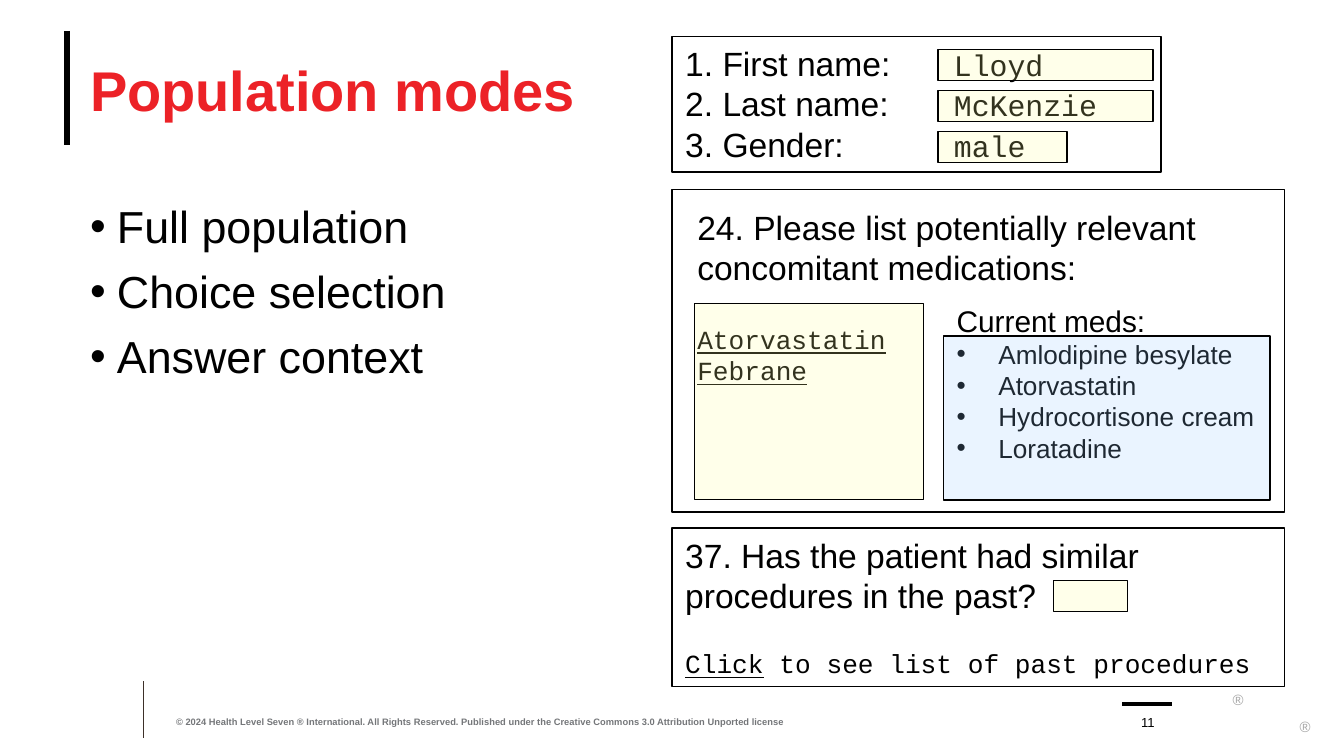
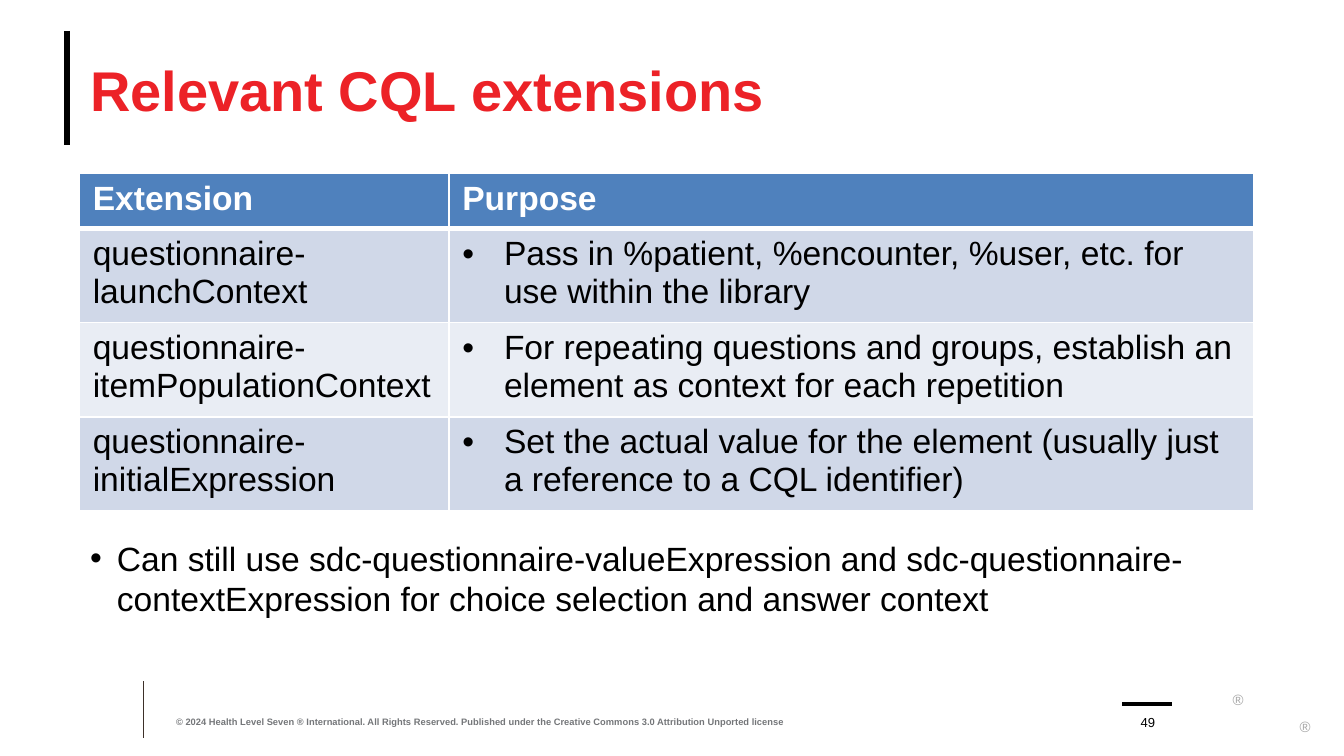
from dataclasses import dataclass
from typing import Optional

from lxml.etree import SubElement
from pptx import Presentation
from pptx.dml.color import RGBColor
from pptx.enum.shapes import MSO_CONNECTOR, MSO_SHAPE
from pptx.enum.text import MSO_ANCHOR, PP_ALIGN
from pptx.oxml import parse_xml
from pptx.oxml.ns import nsdecls, qn
from pptx.util import Inches, Pt


@dataclass(frozen=True)
class Theme:
    black: str = "000000"
    white: str = "FFFFFF"
    title: str = "EC2227"
    footer: str = "747679"
    mark: str = "A6A6A6"
    rule: str = "3D3029"
    answer: str = "FFFF99"
    choices: str = "99CCFF"
    header: str = "4F81BD"
    bands: tuple[str, str] = ("D0D8E8", "E9EDF4")
    sans: str = "Arial"
    mono: str = "Courier New"
    title_size: float = 30
    bullet_size: float = 24
    body_size: float = 18
    entry_size: float = 16
    small_size: float = 14
    mark_size: float = 8
    number_size: float = 7
    footer_size: float = 5
    tint: int = 20
    outline: float = 0.75


THEME = Theme()
COPYRIGHT = (
    "© 2024 Health Level Seven ® International. All Rights Reserved. "
    "Published under the Creative Commons 3.0 Attribution Unported license"
)


@dataclass(frozen=True)
class Run:
    text: str
    size: float = THEME.body_size
    color: str = THEME.black
    font: str = THEME.sans
    bold: bool = False
    underline: bool = False


@dataclass(frozen=True)
class Paragraph:
    runs: tuple[Run, ...]
    bullet_indent: float = 0
    tab_stop: float = 0
    space_before: float = 0
    align: PP_ALIGN = PP_ALIGN.LEFT


@dataclass(frozen=True)
class Box:
    left: float
    top: float
    width: float
    height: float
    paragraphs: tuple[Paragraph, ...] = ()
    fill: Optional[str] = None
    opacity: int = 100
    outlined: bool = False
    anchor: MSO_ANCHOR = MSO_ANCHOR.TOP
    inset: bool = True
    wrap: bool = True


@dataclass(frozen=True)
class Line:
    start: tuple[float, float]
    end: tuple[float, float]
    color: str
    width: float


MASTER_LINES = (
    Line((0.5, 0.23), (0.5, 1.08), THEME.black, 3.25),
    Line((1.07, 5.07), (1.07, 5.49), THEME.rule, 0.5),
    Line((8.35, 5.24), (8.72, 5.24), THEME.black, 2),
)


def plain(text: str, size: float = THEME.body_size, **style) -> Paragraph:
    return Paragraph((Run(text, size, **style),))


def bullets(texts: tuple[str, ...], size: float, indent: float, gap: float = 0
            ) -> tuple[Paragraph, ...]:
    return tuple(
        Paragraph((Run(text, size),), indent, space_before=gap if index else 0)
        for index, text in enumerate(texts)
    )


def write_paragraphs(text_frame, paragraphs: tuple[Paragraph, ...]) -> None:
    for index, content in enumerate(paragraphs):
        paragraph = text_frame.paragraphs[0] if index == 0 else text_frame.add_paragraph()
        properties = paragraph._p.get_or_add_pPr()
        if content.bullet_indent:
            properties.set("marL", str(Inches(content.bullet_indent)))
            properties.set("indent", str(-Inches(content.bullet_indent)))
            SubElement(properties, qn("a:buFont"), typeface=THEME.sans)
            SubElement(properties, qn("a:buChar"), char="•")
        if content.tab_stop:
            tabs = SubElement(properties, qn("a:tabLst"))
            SubElement(tabs, qn("a:tab"), pos=str(Inches(content.tab_stop)), algn="l")
        paragraph.alignment = content.align
        paragraph.space_before = Pt(content.space_before)
        for piece in content.runs:
            run = paragraph.add_run()
            run.text = piece.text
            run.font.name = piece.font
            run.font.size = Pt(piece.size)
            run.font.bold = piece.bold
            run.font.underline = piece.underline
            run.font.color.rgb = RGBColor.from_string(piece.color)


def draw_box(slide, box: Box) -> None:
    frame = [Inches(length) for length in (box.left, box.top, box.width, box.height)]
    if box.fill or box.outlined:
        shape = slide.shapes.add_shape(MSO_SHAPE.RECTANGLE, *frame)
        shape.shadow.inherit = False
    else:
        shape = slide.shapes.add_textbox(*frame)
    if box.fill:
        shape.fill.solid()
        shape.fill.fore_color.rgb = RGBColor.from_string(box.fill)
        if box.opacity < 100:
            color = shape.fill._xPr.find(qn("a:solidFill"))[0]
            SubElement(color, qn("a:alpha"), val=str(box.opacity * 1000))
    else:
        shape.fill.background()
    if box.outlined:
        shape.line.color.rgb = RGBColor.from_string(THEME.black)
        shape.line.width = Pt(THEME.outline)
    else:
        shape.line.fill.background()
    text_frame = shape.text_frame
    text_frame.word_wrap = box.wrap
    text_frame.vertical_anchor = box.anchor
    if not box.inset:
        text_frame.margin_left = text_frame.margin_right = 0
        text_frame.margin_top = text_frame.margin_bottom = 0
    write_paragraphs(text_frame, box.paragraphs)


def draw_line(slide, line: Line) -> None:
    ends = [Inches(length) for length in (*line.start, *line.end)]
    connector = slide.shapes.add_connector(MSO_CONNECTOR.STRAIGHT, *ends)
    connector.line.color.rgb = RGBColor.from_string(line.color)
    connector.line.width = Pt(line.width)
    SubElement(connector._element.spPr, qn("a:effectLst"))


def add_base_slide(presentation, title: str, number: int):
    slide = presentation.slides.add_slide(presentation.slide_layouts[6])
    for line in MASTER_LINES:
        draw_line(slide, line)
    for left, top, width in ((9.16, 5.1, 0.11), (9.67, 5.3, 0.09)):
        mark = plain("®", THEME.mark_size, color=THEME.mark)
        draw_box(slide, Box(left, top, width, 0.09, (mark,), wrap=False))
    heading = plain(title, THEME.title_size, color=THEME.title, bold=True)
    draw_box(slide, Box(0.67, 0.23, 9, 0.86, (heading,), anchor=MSO_ANCHOR.MIDDLE, inset=False))
    notice = plain(COPYRIGHT, THEME.footer_size, color=THEME.footer, bold=True)
    draw_box(slide, Box(1.31, 5.24, 4.95, 0.17, (notice,), anchor=MSO_ANCHOR.BOTTOM, inset=False))
    page = Paragraph((Run(str(number), THEME.number_size),), align=PP_ALIGN.CENTER)
    draw_box(slide, Box(8.39, 5.24, 0.3, 0.19, (page,), anchor=MSO_ANCHOR.BOTTOM, inset=False))
    return slide


def answer_field(left: float, top: float, width: float, height: float = 0.23) -> Box:
    return Box(left, top, width, height, fill=THEME.answer, opacity=THEME.tint, outlined=True)


def add_population_slide(presentation) -> None:
    slide = add_base_slide(presentation, "Population modes", 11)
    modes = ("Full population", "Choice selection", "Answer context")
    draw_box(slide, Box(0.67, 1.48, 3.29, 1.54,
                        bullets(modes, THEME.bullet_size, 0.2, 6), inset=False))

    answers = (("1. First name:", "Lloyd", 1.6), ("2. Last name:", "McKenzie", 1.6),
               ("3. Gender:", "male", 0.96))
    rows = tuple(
        Paragraph((Run(f"{label}\t"), Run(value, THEME.entry_size, font=THEME.mono)), tab_stop=2)
        for label, value, _ in answers
    )
    draw_box(slide, Box(5, 0.27, 3.64, 1.01, rows, outlined=True))
    for index, (_, _, width) in enumerate(answers):
        draw_box(slide, answer_field(6.98, 0.37 + 0.305 * index, width))

    drugs = ("Amlodipine besylate", "Atorvastatin", "Hydrocortisone cream", "Loratadine")
    current = (plain("Current meds:", THEME.entry_size),
               *bullets(drugs, THEME.small_size, 0.31))
    medications = (
        plain("24. Please list potentially relevant concomitant medications:"),
        *(Paragraph((Run(name, THEME.small_size, font=THEME.mono, underline=True),),
                    space_before=gap)
          for name, gap in (("Atorvastatin", 19), ("Febrane", 0))),
    )
    history = (
        plain("37. Has the patient had similar procedures in the past?"),
        Paragraph((Run("Click", THEME.small_size, font=THEME.mono, underline=True),
                   Run(" to see list of past procedures", THEME.small_size, font=THEME.mono)),
                  space_before=17),
    )
    for box in (
        Box(7.02, 2.2, 2.43, 1.28, current, fill=THEME.white),
        Box(7.02, 2.5, 2.43, 1.22, fill=THEME.choices, opacity=THEME.tint, outlined=True),
        Box(5.09, 1.49, 3.94, 2.47, medications),
        answer_field(5.17, 2.26, 1.7, 1.46),
        Box(5, 1.41, 4.56, 2.4, outlined=True),
        Box(5, 3.93, 4.56, 1.18, history, outlined=True),
        answer_field(7.84, 4.32, 0.55),
    ):
        draw_box(slide, box)


def style_cell(cell, fill: str, top: float, bottom: float) -> None:
    cell.fill.solid()
    cell.fill.fore_color.rgb = RGBColor.from_string(fill)
    properties = cell._tc.get_or_add_tcPr()
    for index, (side, width) in enumerate((("L", 1), ("R", 1), ("T", top), ("B", bottom))):
        border = parse_xml(
            f'<a:ln{side} {nsdecls("a")} w="{Pt(width)}"><a:solidFill>'
            f'<a:srgbClr val="{THEME.white}"/></a:solidFill></a:ln{side}>'
        )
        properties.insert(index, border)


def add_extensions_slide(presentation) -> None:
    slide = add_base_slide(presentation, "Relevant CQL extensions", 49)
    note = ("Can still use sdc-questionnaire-valueExpression and "
            "sdc-questionnaire-contextExpression for choice selection and answer context",)
    draw_box(slide, Box(0.67, 4, 9, 0.87, bullets(note, THEME.body_size, 0.2), inset=False))

    rows = (
        ("Extension", "Purpose"),
        ("questionnaire-launchContext",
         "Pass in %patient, %encounter, %user, etc. for use within the library"),
        ("questionnaire-itemPopulationContext",
         "For repeating questions and groups, establish an element as context for each repetition"),
        ("questionnaire-initialExpression",
         "Set the actual value for the element (usually just a reference to a CQL identifier)"),
    )
    row_height = Inches(0.41)
    table = slide.shapes.add_table(
        len(rows), 2, Inches(0.59), Inches(1.29), Inches(8.74), row_height * len(rows)).table
    table.horz_banding = False
    for column, width in zip(table.columns, (2.75, 5.99)):
        column.width = Inches(width)
    for row_index, texts in enumerate(rows):
        is_header = row_index == 0
        fill = THEME.header if is_header else THEME.bands[(row_index - 1) % 2]
        color = THEME.white if is_header else THEME.black
        for column_index, text in enumerate(texts):
            cell = table.cell(row_index, column_index)
            style_cell(cell, fill, 3 if row_index == 1 else 1, 3 if is_header else 1)
            indent = 0.31 if column_index and not is_header else 0
            content = Paragraph((Run(text, color=color, bold=is_header),), indent)
            write_paragraphs(cell.text_frame, (content,))


def main() -> None:
    presentation = Presentation()
    presentation.slide_width = Inches(10)
    presentation.slide_height = presentation.slide_width * 9 // 16
    add_population_slide(presentation)
    add_extensions_slide(presentation)
    presentation.save("out.pptx")


if __name__ == "__main__":
    main()
